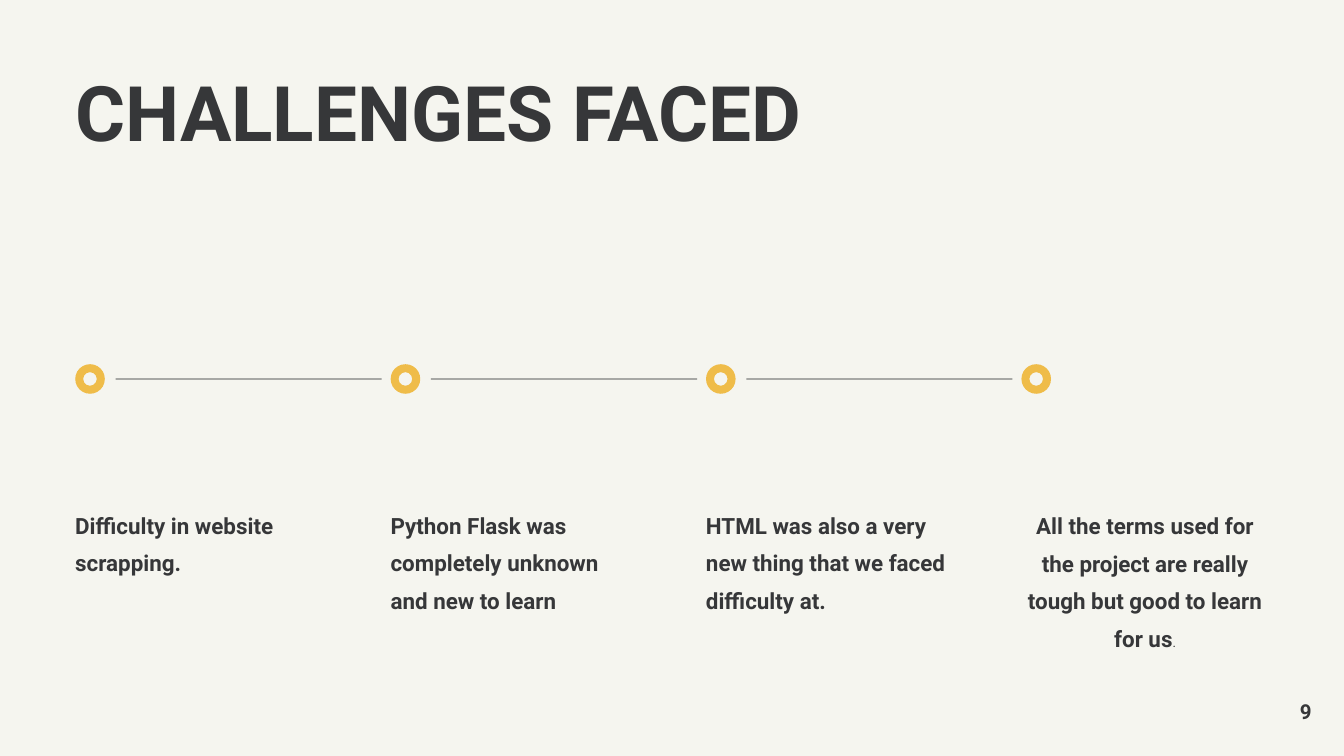
from lxml import etree
from pptx import Presentation
from pptx.dml.color import RGBColor
from pptx.enum.shapes import MSO_CONNECTOR as CONN, MSO_SHAPE as SHAPE
from pptx.enum.text import MSO_ANCHOR as ANCHOR, PP_ALIGN as ALIGN
from pptx.oxml.ns import qn
from pptx.util import Inches, Pt

PAPER, INK, GOLD = "F5F5EF", "363739", "EFBC49"
FONT = "Roboto"
MARGIN, LAST_LEFT, RING = 0.56, 7.6, 0.22

CHALLENGES = [
    ("Difficulty in website scrapping.", ALIGN.LEFT),
    ("Python Flask was completely unknown and new to learn", ALIGN.LEFT),
    ("HTML was also a very new thing that we faced difficulty at.", ALIGN.LEFT),
    ("All the terms used for the project are really tough but good to learn for us",
     ALIGN.CENTER),
]


def rgb(value):
    return RGBColor.from_string(value)


def add_run(p, text, size, bold=True):
    r = p.add_run()
    r.text = text
    r.font.name, r.font.size, r.font.bold = FONT, Pt(size), bold
    r.font.color.rgb = rgb(INK)


def add_text(slide, text, x, y, w, h, size=12, align=ALIGN.LEFT,
             anchor=ANCHOR.TOP, spacing=1.0):
    tf = slide.shapes.add_textbox(Inches(x), Inches(y), Inches(w), Inches(h)).text_frame
    tf.word_wrap = True
    tf.vertical_anchor = anchor
    tf.margin_left = tf.margin_right = tf.margin_top = tf.margin_bottom = 0
    p = tf.paragraphs[0]
    p.alignment, p.line_spacing = align, spacing
    add_run(p, text, size)
    return p


def add_ring(slide, x, y):
    sp = slide.shapes.add_shape(SHAPE.DONUT, Inches(x), Inches(y), Inches(RING), Inches(RING))
    sp.adjustments[0] = 0.27
    sp.shadow.inherit = False
    sp.fill.solid()
    sp.fill.fore_color.rgb = rgb(GOLD)
    sp.line.fill.background()


def add_link(slide, x, y, length):
    """Draw a translucent hairline between two rings."""
    line = slide.shapes.add_connector(
        CONN.STRAIGHT, Inches(x), Inches(y), Inches(x + length), Inches(y))
    line.line.width = Pt(0.75)
    line.line.color.rgb = rgb(INK)
    sp_pr = line._element.spPr
    color = sp_pr.find(".//" + qn("a:srgbClr"))
    etree.SubElement(color, qn("a:alpha"), val="61000")
    etree.SubElement(sp_pr, qn("a:effectLst"))


def add_timeline(slide, x, y, span):
    """Place the rings evenly, the first at x and the last at x + span."""
    last = len(CHALLENGES) - 1
    for i, (text, align) in enumerate(CHALLENGES):
        left = x + i * span / last
        add_ring(slide, left, y)
        if i < last:
            add_link(slide, left + 0.3, y + RING / 2, 1.98)
        lines = 2 if i == 0 else 4 if i == last else 3
        p = add_text(slide, text, left, y + 1.02, 1.84, lines * 0.28,
                     align=align, spacing=1.4)
    add_run(p, ".", 7, bold=False)


def main():
    prs = Presentation()
    prs.slide_width = Inches(10)
    prs.slide_height = prs.slide_width * 9 // 16
    slide = prs.slides.add_slide(prs.slide_layouts[6])
    slide.background.fill.solid()
    slide.background.fill.fore_color.rgb = rgb(PAPER)
    add_text(slide, "CHALLENGES FACED", MARGIN, 0.56, 7.09, 0.79, size=41, spacing=0.9)
    add_timeline(slide, MARGIN, 2.71, LAST_LEFT - MARGIN)
    add_text(slide, "9", 9.16, 5.19, 0.6, 0.2, size=11, align=ALIGN.RIGHT,
             anchor=ANCHOR.MIDDLE)
    prs.save("out.pptx")


if __name__ == "__main__":
    main()
